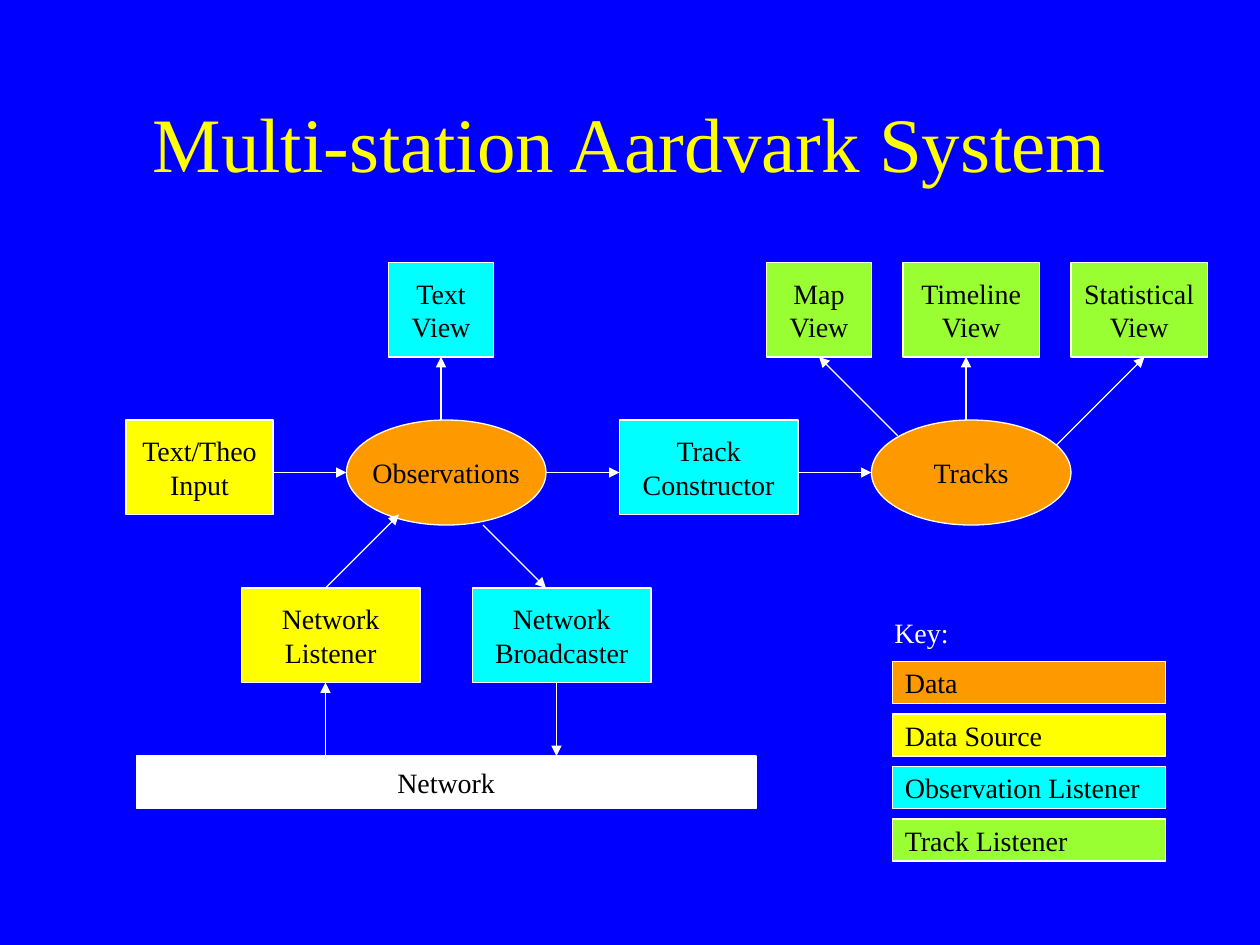
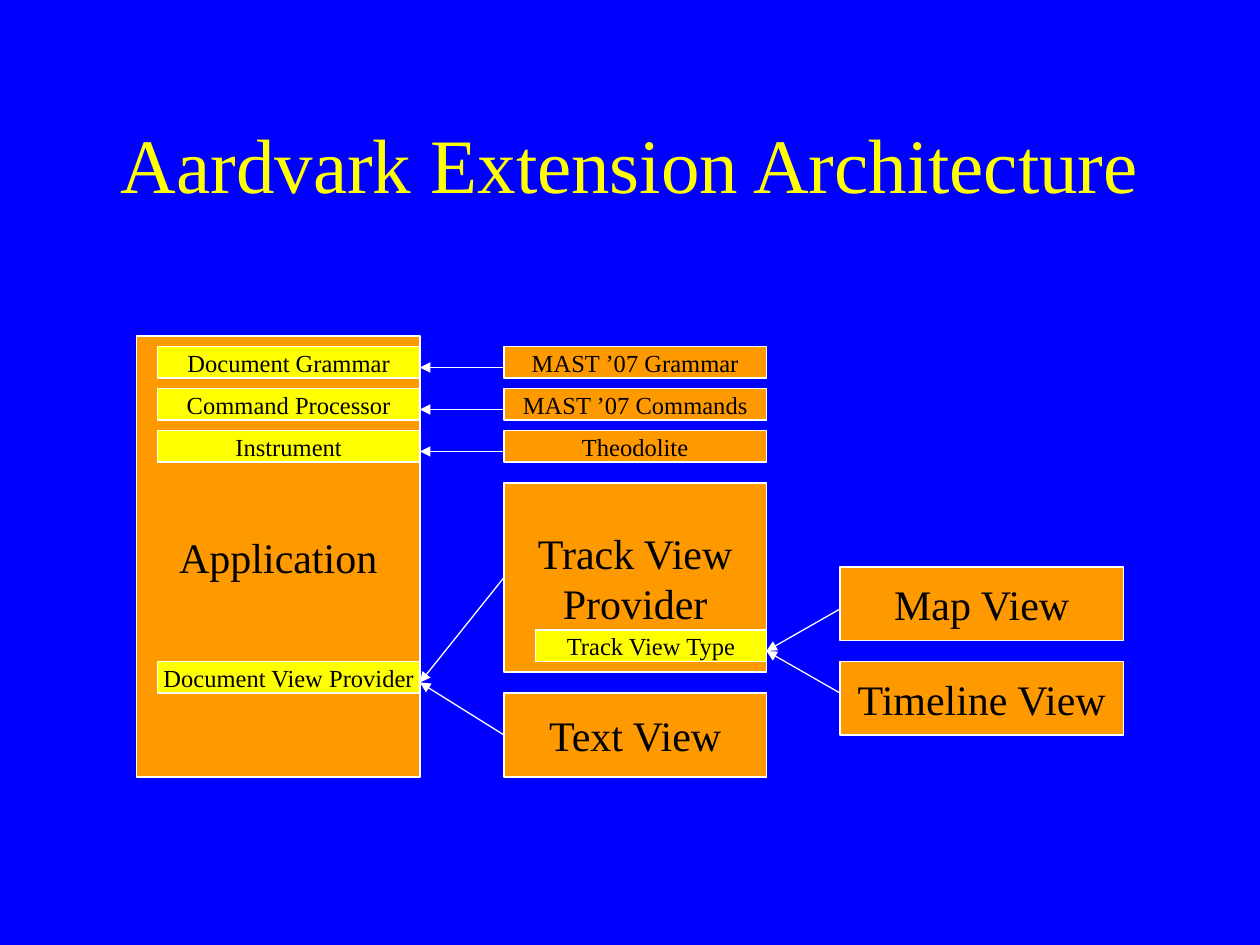
from pptx import Presentation
from pptx.dml.color import RGBColor
from pptx.enum.shapes import MSO_CONNECTOR, MSO_SHAPE
from pptx.enum.text import MSO_ANCHOR, MSO_AUTO_SIZE, PP_ALIGN
from pptx.oxml.ns import qn
from pptx.util import Pt
from lxml.etree import SubElement

EMU_PER_PX = 9525
BLUE, WHITE, BLACK = "0000FF", "FFFFFF", "000000"
ORANGE, YELLOW, CYAN, GREEN = "FF9900", "FFFF00", "00FFFF", "99FF33"
TOP, LEFT, BOTTOM, RIGHT = range(4)


def px(*lengths):
    return [length * EMU_PER_PX for length in lengths]


def color(hex_string):
    return RGBColor.from_string(hex_string)


def apply(target, values):
    for name, value in values.items():
        setattr(target, name, value)


class Diagram:
    font = "Times New Roman"
    line_width = Pt(0.75)

    def __init__(self):
        self.presentation = Presentation()
        width, height = px(960, 720)
        apply(self.presentation, {"slide_width": width, "slide_height": height})
        self.slide = None

    def new_slide(self, title, title_top):
        self.slide = self.presentation.slides.add_slide(self.presentation.slide_layouts[6])
        fill = self.slide.background.fill
        fill.solid()
        fill.fore_color.rgb = color(BLUE)
        self.label(title, 72, title_top, 816, 120, 44, YELLOW,
                   {"alignment": PP_ALIGN.CENTER},
                   {"vertical_anchor": MSO_ANCHOR.MIDDLE})

    def set_text(self, shape, text, size, text_color, paragraph_format, frame_format):
        frame = shape.text_frame
        frame.text = text
        apply(frame, frame_format)
        for paragraph in frame.paragraphs:
            apply(paragraph, paragraph_format)
            apply(paragraph.font, {"name": self.font, "size": Pt(size)})
            paragraph.font.color.rgb = color(text_color)

    def label(self, text, left, top, width, height, size, text_color,
              paragraph_format, frame_format):
        shape = self.slide.shapes.add_textbox(*px(left, top, width, height))
        self.set_text(shape, text, size, text_color, paragraph_format,
                      {"word_wrap": True, **frame_format})

    def box(self, text, left, top, width, height, fill_color, size=16,
            alignment=PP_ALIGN.CENTER, kind=MSO_SHAPE.RECTANGLE):
        shape = self.slide.shapes.add_shape(kind, *px(left, top, width, height))
        shape.shadow.inherit = False
        shape.fill.solid()
        shape.fill.fore_color.rgb = color(fill_color)
        shape.line.color.rgb = color(WHITE)
        shape.line.width = self.line_width
        self.set_text(shape, text, size, BLACK, {"alignment": alignment},
                      {"word_wrap": False, "vertical_anchor": MSO_ANCHOR.MIDDLE})
        return shape

    def ellipse(self, text, left, top):
        return self.box(text, left, top, 152, 80, ORANGE, kind=MSO_SHAPE.OVAL)

    def arrow(self, start, end, begin_at=None, end_at=None):
        connector = self.slide.shapes.add_connector(
            MSO_CONNECTOR.STRAIGHT, *px(*start, *end))
        if begin_at:
            connector.begin_connect(*begin_at)
        if end_at:
            connector.end_connect(*end_at)
        connector.line.color.rgb = color(WHITE)
        connector.line.width = self.line_width
        properties = connector.element.spPr
        SubElement(properties.find(qn("a:ln")), qn("a:tailEnd"), type="triangle")
        SubElement(properties, qn("a:effectLst"))


def build_system(diagram):
    diagram.new_slide("Multi-station Aardvark System", 48)
    diagram.ellipse("Observations", 264, 320)
    diagram.ellipse("Tracks", 664, 320)

    boxes = [
        ("Text/Theo\nInput", 96, 320, 112, YELLOW),
        ("Track\nConstructor", 472, 320, 136, CYAN),
        ("Text\nView", 296, 200, 80, CYAN),
        ("Map\nView", 584, 200, 80, GREEN),
        ("Timeline\nView", 688, 200, 104, GREEN),
        ("Statistical\nView", 816, 200, 104, GREEN),
        ("Network\nListener", 184, 448, 136, YELLOW),
        ("Network\nBroadcaster", 360, 448, 136, CYAN),
    ]
    nodes = {text: diagram.box(text, left, top, width, 72, fill_color)
             for text, left, top, width, fill_color in boxes}
    diagram.box("Network", 104, 576, 472, 40, WHITE)

    for start, end in [(208, 264), (416, 472), (608, 664)]:
        diagram.arrow((start, 360), (end, 360))
    diagram.arrow((336, 320), (336, 272), end_at=(nodes["Text\nView"], BOTTOM))
    diagram.arrow((684, 332), (624, 272), end_at=(nodes["Map\nView"], BOTTOM))
    for start, end in [
        ((736, 320), (736, 272)),
        ((805, 339), (872, 272)),
        ((368, 400), (416, 448)),
        ((248, 448), (304, 392)),
        ((248, 576), (248, 520)),
        ((424, 520), (424, 576)),
    ]:
        diagram.arrow(start, end)

    diagram.label("Key:", 672, 464, 96, 35, 16, WHITE, {"space_before": Pt(10)},
                  {"auto_size": MSO_AUTO_SIZE.SHAPE_TO_FIT_TEXT})
    key = [("Data", ORANGE), ("Data Source", YELLOW),
           ("Observation Listener", CYAN), ("Track Listener", GREEN)]
    for row, (text, fill_color) in enumerate(key):
        diagram.box(text, 680, 504 + 40 * row, 208, 32, fill_color,
                    alignment=PP_ALIGN.LEFT)


def build_architecture(diagram):
    diagram.new_slide("Aardvark Extension Architecture", 64)
    diagram.box("Application", 104, 256, 216, 336, ORANGE, 24)
    track_provider = diagram.box("Track View\nProvider", 384, 368, 200, 144, ORANGE, 24)
    text_view = diagram.box("Text View", 384, 528, 200, 64, ORANGE, 24)
    diagram.box("Map View", 640, 432, 216, 56, ORANGE, 24)
    diagram.box("Timeline View", 640, 504, 216, 56, ORANGE, 24)

    extensions = [("Document Grammar", "MAST ’07 Grammar"),
                  ("Command Processor", "MAST ’07 Commands"),
                  ("Instrument", "Theodolite")]
    for row, (slot, extension) in enumerate(extensions):
        top = 264 + 32 * row
        diagram.box(slot, 120, top, 200, 24, YELLOW, 14)
        diagram.box(extension, 384, top, 200, 24, ORANGE, 14)
        diagram.arrow((384, top + 16), (320, top + 16))
    diagram.box("Document View Provider", 120, 504, 200, 24, YELLOW, 14)
    diagram.box("Track View Type", 408, 480, 176, 24, YELLOW, 14)

    diagram.arrow((384, 440), (320, 520), begin_at=(track_provider, LEFT))
    diagram.arrow((384, 560), (320, 520), begin_at=(text_view, LEFT))
    for start_top in (464, 528):
        diagram.arrow((640, start_top), (584, 496))


def main():
    diagram = Diagram()
    build_system(diagram)
    build_architecture(diagram)
    diagram.presentation.save("out.pptx")


if __name__ == "__main__":
    main()
